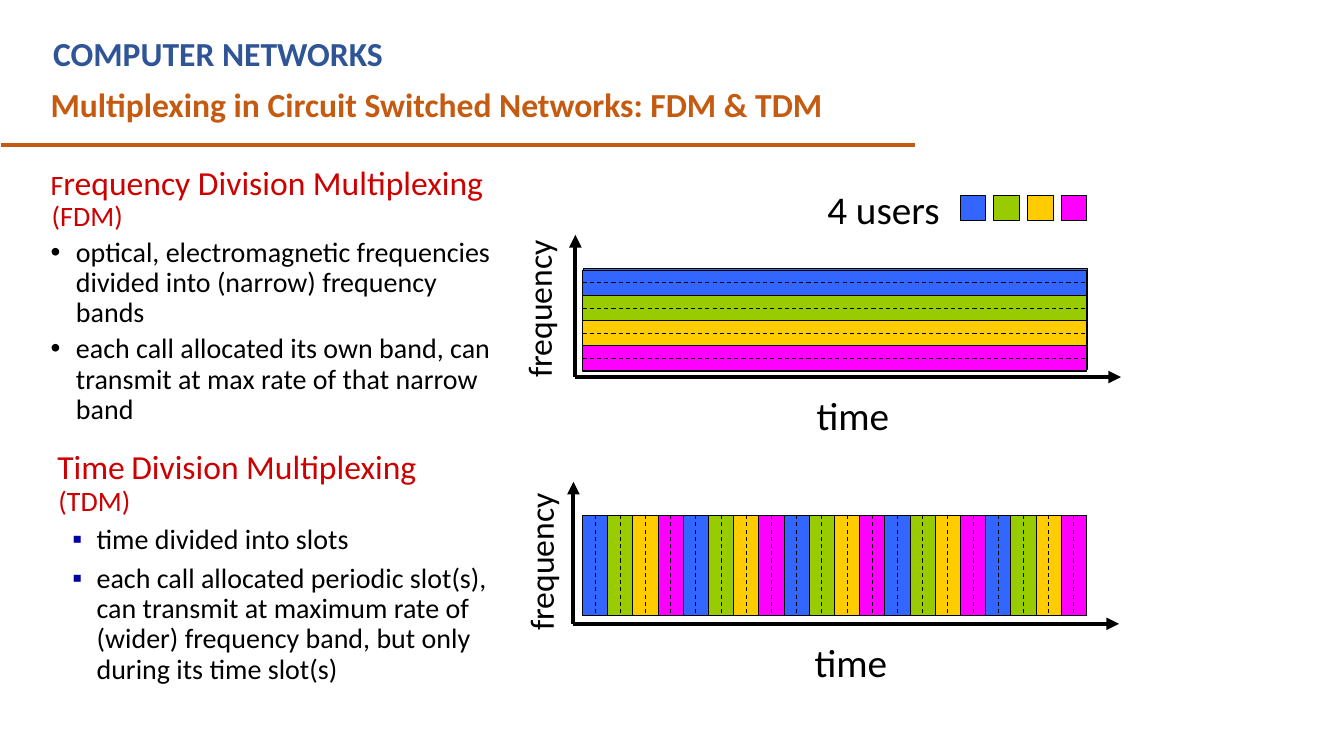
from lxml.etree import SubElement
from pptx import Presentation
from pptx.dml.color import RGBColor
from pptx.enum.dml import MSO_LINE
from pptx.enum.shapes import MSO_CONNECTOR, MSO_SHAPE
from pptx.enum.text import MSO_ANCHOR, MSO_AUTO_SIZE, PP_ALIGN
from pptx.oxml.ns import qn
from pptx.util import Cm, Pt

BLACK = RGBColor(0x00, 0x00, 0x00)
NAVY = RGBColor(0x2F, 0x55, 0x97)
ORANGE = RGBColor(0xC5, 0x5A, 0x11)
RED = RGBColor(0xCC, 0x00, 0x00)
BULLET_BLUE = RGBColor(0x00, 0x00, 0xA3)
FRAME_BLUE = RGBColor(0x44, 0x72, 0xC4)
USER_COLORS = [
    RGBColor(0x33, 0x66, 0xFF),
    RGBColor(0x99, 0xCC, 0x00),
    RGBColor(0xFF, 0xCC, 0x00),
    RGBColor(0xFF, 0x00, 0xFF),
]

# Chart measures in centimetres
CHART_LEFT, CHART_WIDTH, CHART_HEIGHT = 14.68, 12.7, 2.54
FDM_TOP, TDM_TOP = 6.81, 12.98
BAND_HEIGHT = CHART_HEIGHT / len(USER_COLORS)
SLOT_COUNT = 20
SLOT_WIDTH = CHART_WIDTH / SLOT_COUNT


def set_values(target, values):
    for name, value in values.items():
        setattr(target, name, value)


def place(shape, left, top, width, height):
    set_values(shape, {"left": Cm(left), "top": Cm(top),
                       "width": Cm(width), "height": Cm(height)})


def add_run(paragraph, text, size, color, bold=False):
    run = paragraph.add_run()
    run.text = text
    set_values(run.font, {"name": "Calibri", "size": Pt(size), "bold": bold})
    run.font.color.rgb = color


def add_label(slide, text, box, size, color=BLACK, bold=False, wrap=False, rotation=0):
    shape = slide.shapes.add_textbox(*map(Cm, box))
    shape.rotation = rotation
    shape.text_frame.word_wrap = wrap
    add_run(shape.text_frame.paragraphs[0], text, size, color, bold)


def add_line(slide, start, end, color=BLACK, width=0.75, dashed=False, arrow=False):
    connector = slide.shapes.add_connector(
        MSO_CONNECTOR.STRAIGHT, *map(Cm, (*start, *end)))
    connector.line.color.rgb = color
    connector.line.width = Pt(width)
    if dashed:
        connector.line.dash_style = MSO_LINE.DASH
    if arrow:
        SubElement(connector.line._get_or_add_ln(), qn("a:tailEnd"), type="triangle")
    SubElement(connector._element.spPr, qn("a:effectLst"))


def add_block(slide, box, color):
    shape = slide.shapes.add_shape(MSO_SHAPE.RECTANGLE, *map(Cm, box))
    shape.shadow.inherit = False
    shape.fill.solid()
    shape.fill.fore_color.rgb = color
    shape.line.color.rgb = BLACK
    shape.line.width = Pt(0.75)


def set_bullet(paragraph, left, hanging, character=None, color=None):
    properties = paragraph._p.get_or_add_pPr()
    properties.set("marL", str(Cm(left)))
    properties.set("indent", str(-Cm(hanging)))
    if character is None:
        SubElement(properties, qn("a:buNone"))
        return
    if color is not None:
        bullet_color = SubElement(properties, qn("a:buClr"))
        SubElement(bullet_color, qn("a:srgbClr"), val=str(color))
    SubElement(properties, qn("a:buFont"), typeface="Arial")
    SubElement(properties, qn("a:buChar"), char=character)


def fill_list(placeholder, box, heading, items, space, bullet):
    """Write a red heading of (text, size) runs and a bulleted list below it."""
    place(placeholder, *box)
    frame = placeholder.text_frame
    set_values(frame, {"auto_size": MSO_AUTO_SIZE.NONE, "word_wrap": True,
                       "vertical_anchor": MSO_ANCHOR.TOP})
    first = frame.paragraphs[0]
    set_bullet(first, 0.03, 0.03)
    set_values(first, {"line_spacing": 0.9, "space_before": Pt(0)})
    for text, size in heading:
        add_run(first, text, size, RED)
    for item in items:
        paragraph = frame.add_paragraph()
        set_bullet(paragraph, **bullet)
        set_values(paragraph, {"line_spacing": 0.9, "space_before": Pt(space)})
        add_run(paragraph, item, 20, BLACK)


def add_axes(slide, left, bottom, label_left, label_top):
    origin = (left, bottom)
    add_line(slide, origin, (left, bottom - 3.58), width=3, arrow=True)
    add_line(slide, origin, (left + 13.75, bottom), width=3, arrow=True)
    add_label(slide, "frequency", (label_left, label_top, 4.01, 1.3), 24, rotation=270)
    add_label(slide, "time", (left + 5.83, bottom + 0.23, 2.36, 1.45), 28)


def add_fdm_bands(slide):
    add_block(slide, (CHART_LEFT + 0.03, FDM_TOP - 0.05, CHART_WIDTH, CHART_HEIGHT),
              FRAME_BLUE)
    right = CHART_LEFT + CHART_WIDTH
    for index, color in enumerate(USER_COLORS):
        top = FDM_TOP + index * BAND_HEIGHT
        middle = top + BAND_HEIGHT / 2
        add_block(slide, (CHART_LEFT, top, CHART_WIDTH, BAND_HEIGHT), color)
        if index:
            add_line(slide, (CHART_LEFT, top), (right, top))
        add_line(slide, (CHART_LEFT, middle), (right, middle), dashed=True)


def add_tdm_slots(slide):
    add_block(slide, (CHART_LEFT, TDM_TOP, CHART_WIDTH, CHART_HEIGHT), FRAME_BLUE)
    bottom = TDM_TOP + CHART_HEIGHT
    for index in range(SLOT_COUNT):
        left = CHART_LEFT + index * SLOT_WIDTH
        middle = left + SLOT_WIDTH / 2
        color = USER_COLORS[index % len(USER_COLORS)]
        add_block(slide, (left, TDM_TOP, SLOT_WIDTH, CHART_HEIGHT), color)
        if index:
            add_line(slide, (left, TDM_TOP), (left, bottom))
        add_line(slide, (middle, TDM_TOP), (middle, bottom), dashed=True)


def add_legend(slide):
    add_label(slide, "4 users", (20.6, 4.55, 3.38, 1.45), 28)
    for index, color in enumerate(USER_COLORS):
        add_block(slide, (24.2 + index * 0.85, 4.93, 0.64, 0.64), color)


def add_header(slide):
    add_line(slide, (0.03, 3.66), (23.06, 3.66), ORANGE, 3)
    add_label(slide, "COMPUTER NETWORKS", (1.09, 0.71, 20.83, 1.27), 24, NAVY,
              bold=True, wrap=True)
    title = slide.shapes.title
    place(title, 1.02, 1.98, 22.23, 1.27)
    set_values(title.text_frame, {"auto_size": MSO_AUTO_SIZE.NONE, "word_wrap": True,
                                  "vertical_anchor": MSO_ANCHOR.TOP})
    paragraph = title.text_frame.paragraphs[0]
    paragraph.alignment = PP_ALIGN.LEFT
    add_run(paragraph, "Multiplexing in Circuit Switched Networks: FDM & TDM",
            24, ORANGE, bold=True)


def main():
    presentation = Presentation()
    set_values(presentation, {"slide_width": Cm(33.87), "slide_height": Cm(19.05)})
    slide = presentation.slides.add_slide(
        presentation.slide_layouts.get_by_name("Two Content"))
    _, fdm_list, tdm_list = slide.placeholders

    add_header(slide)
    add_axes(slide, 14.5, 9.5, 11.58, 7.11)
    add_fdm_bands(slide)
    add_axes(slide, 14.45, 15.72, 11.63, 13.49)
    add_tdm_slots(slide)
    add_legend(slide)

    fill_list(
        fdm_list, (1.02, 4.06, 11.79, 7.98),
        [("F", 20), ("requency Division Multiplexing ", 24), ("(FDM)", 20)],
        ["optical, electromagnetic frequencies divided into (narrow) frequency bands",
         "each call allocated its own band, can transmit at max rate of that narrow band"],
        4, {"left": 0.64, "hanging": 0.64, "character": "•"})
    fill_list(
        tdm_list, (1.19, 11.23, 11.38, 6.86),
        [("Time", 24), (" ", 20), ("Division Multiplexing ", 24), ("(TDM)", 20)],
        ["time divided into slots",
         "each call allocated periodic slot(s), can transmit at maximum rate of "
         "(wider) frequency band, but only during its time slot(s)"],
        6, {"left": 0.99, "hanging": 0.61, "character": "▪", "color": BULLET_BLUE})
    presentation.save("out.pptx")


if __name__ == "__main__":
    main()
